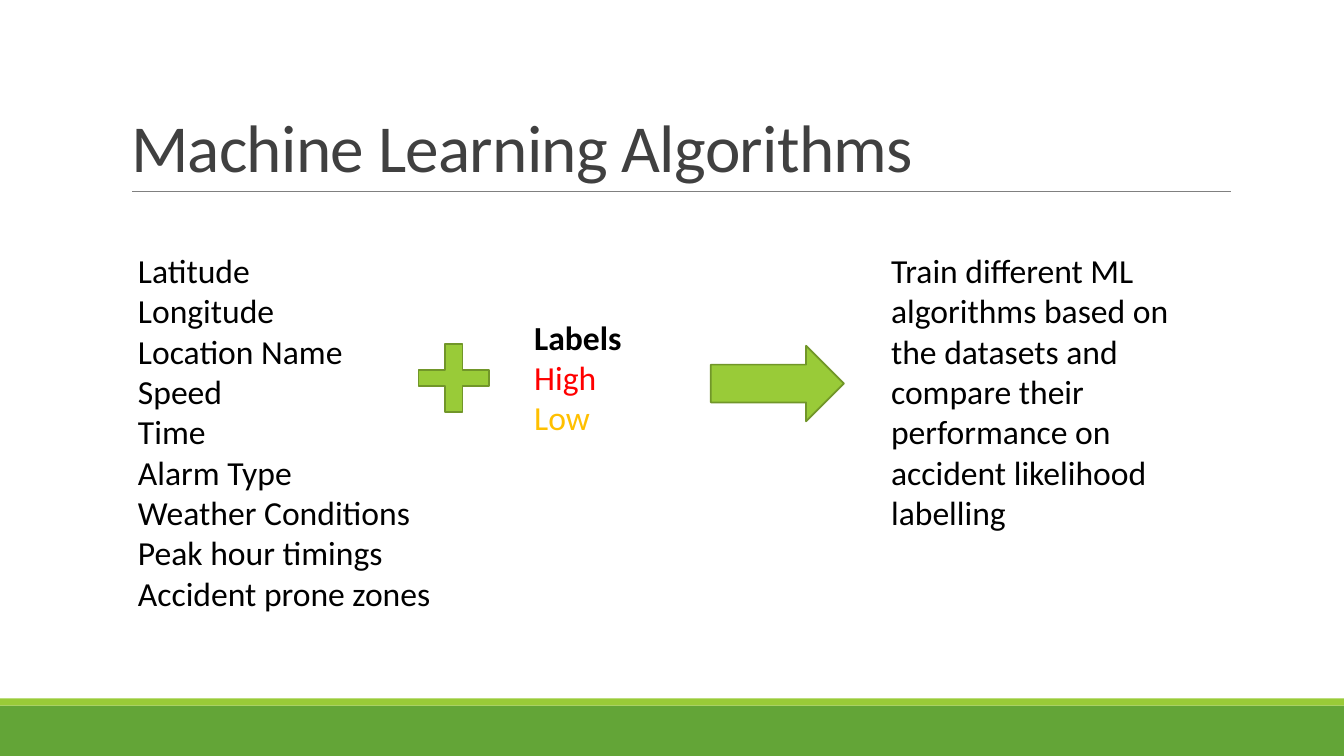
from pptx import Presentation
from pptx.dml.color import RGBColor
from pptx.enum.shapes import MSO_CONNECTOR, MSO_SHAPE
from pptx.enum.text import MSO_ANCHOR, MSO_AUTO_SIZE, PP_ALIGN
from pptx.oxml.ns import qn
from pptx.util import Inches, Pt
from lxml.etree import SubElement

BLACK = RGBColor(0x00, 0x00, 0x00)
DARK = RGBColor(0x40, 0x40, 0x40)
GRAY = RGBColor(0x80, 0x80, 0x80)
RED = RGBColor(0xFF, 0x00, 0x00)
AMBER = RGBColor(0xFF, 0xC0, 0x00)
GREEN = RGBColor(0x63, 0xA5, 0x37)
LIME = RGBColor(0x99, 0xCB, 0x38)
OLIVE = RGBColor(0x71, 0x96, 0x29)
FONT = "Calibri"

# Content
TITLE = "Machine Learning Algorithms"
FEATURES = ["Latitude", "Longitude", "Location Name", "Speed", "Time",
            "Alarm Type", "Weather Conditions", "Peak hour timings",
            "Accident prone zones"]
LABELS = [("Labels", BLACK, True), ("High", RED, False), ("Low", AMBER, False)]
GOAL = ("Train different ML algorithms based on the datasets and compare "
        "their performance on accident likelihood labelling")

# Text blocks: box, lines of (text, color, bold)
BLOCKS = [
    ((1.27, 2.43, 3.15, 4.14), [(name, BLACK, False) for name in FEATURES]),
    ((5.2, 3.09, 1.86, 1.31), LABELS),
    ((8.74, 2.43, 3.4, 2.93), [(GOAL, BLACK, False)]),
]
# Shapes: kind, box, fill, outline
BANDS = [
    (MSO_SHAPE.RECTANGLE, (0, 7, 13.33, 0.5), GREEN, None),
    (MSO_SHAPE.RECTANGLE, (0, 6.93, 13.33, 0.07), LIME, None),
]
SIGNS = [
    (MSO_SHAPE.CROSS, (4.15, 3.41, 0.7, 0.68), LIME, OLIVE),
    (MSO_SHAPE.RIGHT_ARROW, (7.05, 3.43, 1.32, 0.75), LIME, OLIVE),
]


def inches(box):
    return [Inches(v) for v in box]


def add_run(para, text, size, color, bold=False):
    run = para.add_run()
    run.text = text
    font = run.font
    font.name, font.size, font.bold = FONT, Pt(size), bold
    font.color.rgb = color
    return run


def add_sign(slide, kind, box, fill, edge):
    shape = slide.shapes.add_shape(kind, *inches(box))
    shape.shadow.inherit = False
    shape.fill.solid()
    shape.fill.fore_color.rgb = fill
    if edge is None:
        shape.line.fill.background()
    else:
        shape.line.color.rgb = edge
        shape.line.width = Pt(1.25)
    return shape


def add_block(slide, box, lines):
    frame = slide.shapes.add_textbox(*inches(box)).text_frame
    frame.word_wrap = True
    frame.auto_size = MSO_AUTO_SIZE.SHAPE_TO_FIT_TEXT
    for i, (text, color, bold) in enumerate(lines):
        para = frame.add_paragraph() if i else frame.paragraphs[0]
        add_run(para, text, 24, color, bold)


def add_title(slide):
    title = slide.shapes.title
    title.left, title.top, title.width, title.height = inches((1.2, 0.31, 11, 1.59))
    frame = title.text_frame
    frame.word_wrap = True
    frame.auto_size = MSO_AUTO_SIZE.NONE
    frame.vertical_anchor = MSO_ANCHOR.BOTTOM
    para = frame.paragraphs[0]
    para.alignment = PP_ALIGN.LEFT
    para.line_spacing = 0.85
    run = add_run(para, TITLE, 48, DARK)
    run.font._element.set("spc", "-50")


def add_rule(slide):
    rule = slide.shapes.add_connector(
        MSO_CONNECTOR.STRAIGHT, *inches((1.31, 1.9, 12.21, 1.9)))
    rule.line.color.rgb = GRAY
    rule.line.width = Pt(0.5)
    SubElement(rule._element.spPr, qn("a:effectLst"))


def main():
    deck = Presentation()
    deck.slide_width, deck.slide_height = Inches(13.33), Inches(7.5)
    slide = deck.slides.add_slide(deck.slide_layouts[5])

    # Footer bands, title and rule
    for band in BANDS:
        add_sign(slide, *band)
    add_rule(slide)
    add_title(slide)

    # Features + labels -> goal
    for box, lines in BLOCKS:
        add_block(slide, box, lines)
    plus, _ = [add_sign(slide, *sign) for sign in SIGNS]
    plus.adjustments[0] = 0.387

    deck.save("out.pptx")


if __name__ == "__main__":
    main()
